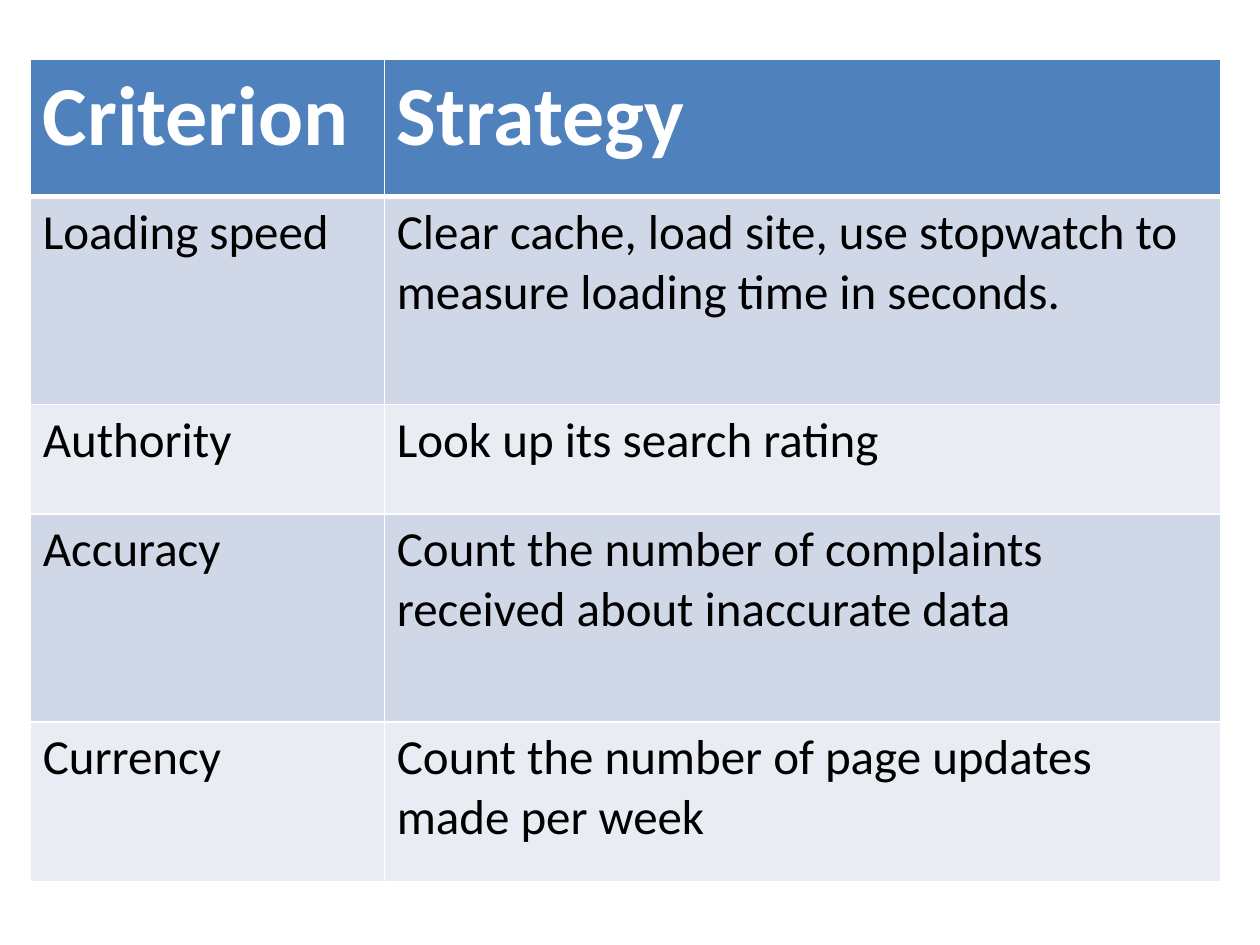
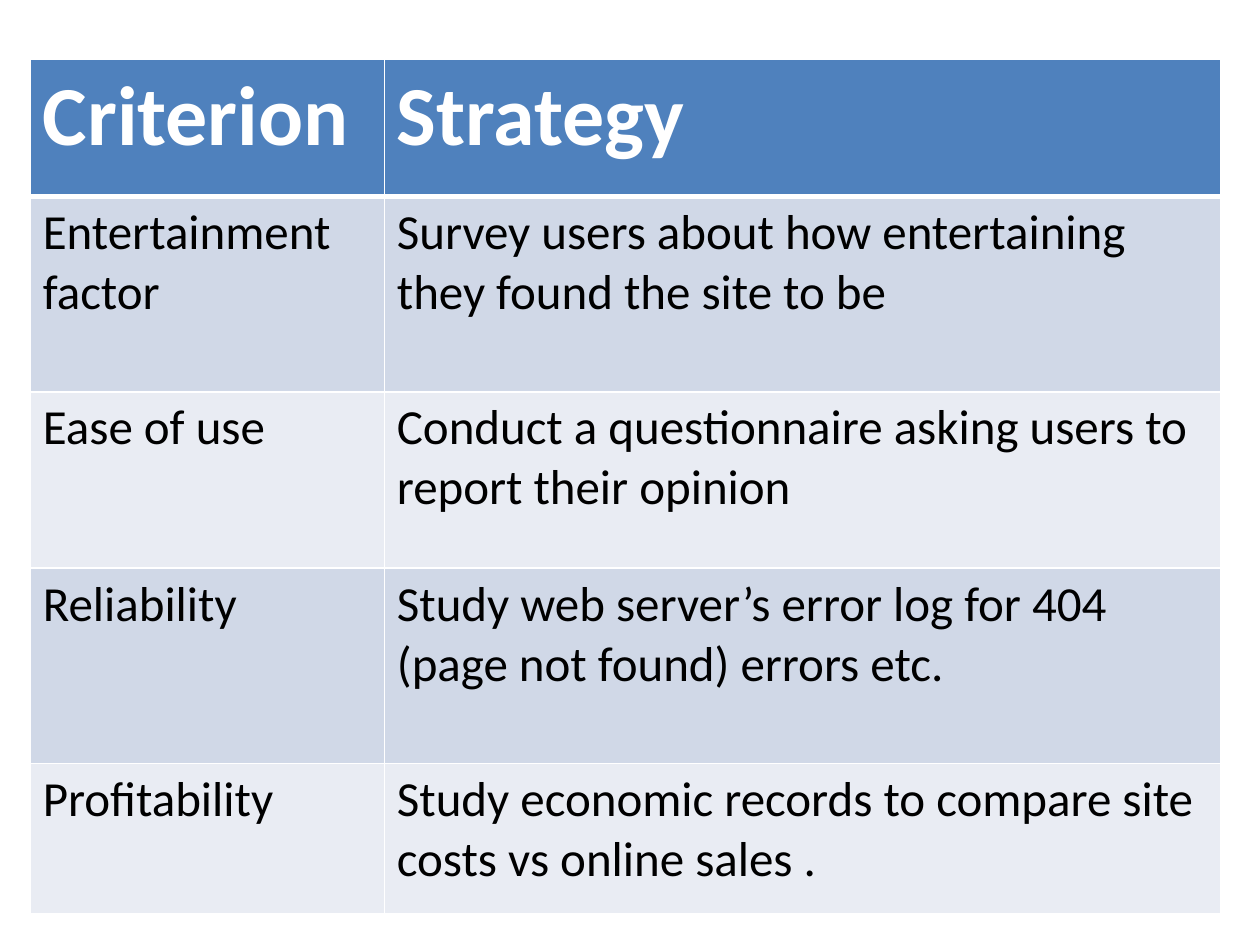
from lxml.etree import SubElement
from pptx import Presentation
from pptx.dml.color import RGBColor
from pptx.oxml.ns import qn
from pptx.util import Inches, Pt

# Shared style: colours, font, border widths in points
FONT = "Calibri"
WHITE, BLACK = "FFFFFF", "000000"
HEADER_FILL = "4F81BD"
BAND_FILLS = ["D0D8E7", "E9ECF3"]
THIN, THICK = 0.96, 3

# Shared table layout, in inches
LEFT, TOP = 0.24, 0.47
COLUMN_WIDTHS = [2.81, 6.64]
HEADER_ROW = (1.09, "Criterion", "Strategy")

# Rows of each slide: height, criterion, strategy
SITE_QUALITY = [
    (1.65, "Loading speed", "Clear cache, load site, use stopwatch to "
                            "measure loading time in seconds."),
    (0.87, "Authority", "Look up its search rating"),
    (1.65, "Accuracy", "Count the number of complaints received "
                       "about inaccurate data"),
    (1.27, "Currency", "Count the number of page updates made per week"),
]
USER_VALUE = [
    (1.55, "Entertainment factor", "Survey users about how entertaining "
                                   "they found the site to be"),
    (1.4, "Ease of use", "Conduct a questionnaire asking users to "
                         "report their opinion"),
    (1.55, "Reliability", "Study web server’s error log for 404 "
                          "(page not found) errors etc."),
    (1.19, "Profitability", "Study economic records to compare site "
                            "costs vs online sales ."),
]


def rgb(hex_string):
    return RGBColor.from_string(hex_string)


def set_text(tf, text, size=28, color=BLACK, bold=False):
    r = tf.paragraphs[0].add_run()
    r.text = text
    r.font.name = FONT
    r.font.size = Pt(size)
    r.font.bold = bold
    r.font.color.rgb = rgb(color)


def set_borders(cell, top, bottom):
    """Draw white cell borders; the sides are always thin."""
    tc_pr = cell._tc.get_or_add_tcPr()
    for side, width in (("L", THIN), ("R", THIN), ("T", top), ("B", bottom)):
        ln = SubElement(tc_pr, qn(f"a:ln{side}"), w=str(int(Pt(width))))
        solid = SubElement(ln, qn("a:solidFill"))
        SubElement(solid, qn("a:srgbClr"), val=WHITE)


def fill_row(row, content, fill, top=THIN, bottom=THIN, **text_format):
    height, *texts = content
    row.height = Inches(height)
    for cell, text in zip(row.cells, texts):
        set_borders(cell, top, bottom)  # borders precede the fill in the XML
        cell.fill.solid()
        cell.fill.fore_color.rgb = rgb(fill)
        set_text(cell.text_frame, text, **text_format)


def add_table(s, rows):
    """Add an empty table sized by the heights that start each row."""
    total_height = sum(height for height, *_ in rows)
    table = s.shapes.add_table(
        len(rows), len(COLUMN_WIDTHS), Inches(LEFT), Inches(TOP),
        Inches(sum(COLUMN_WIDTHS)), Inches(total_height)).table
    for column, width in zip(table.columns, COLUMN_WIDTHS):
        column.width = Inches(width)
    return table


def add_criteria_slide(prs, criteria):
    s = prs.slides.add_slide(prs.slide_layouts[6])
    table = add_table(s, [HEADER_ROW] + criteria)

    # Header row
    fill_row(table.rows[0], HEADER_ROW, HEADER_FILL, bottom=THICK,
             size=48, color=WHITE, bold=True)

    # Criteria in alternating bands; the first shares the header's thick rule
    for i, criterion in enumerate(criteria):
        fill_row(table.rows[i + 1], criterion, BAND_FILLS[i % len(BAND_FILLS)],
                 top=THICK if i == 0 else THIN)


def main():
    prs = Presentation()
    prs.slide_width, prs.slide_height = Inches(10), Inches(7.5)
    for criteria in (SITE_QUALITY, USER_VALUE):
        add_criteria_slide(prs, criteria)
    prs.save("out.pptx")


if __name__ == "__main__":
    main()
